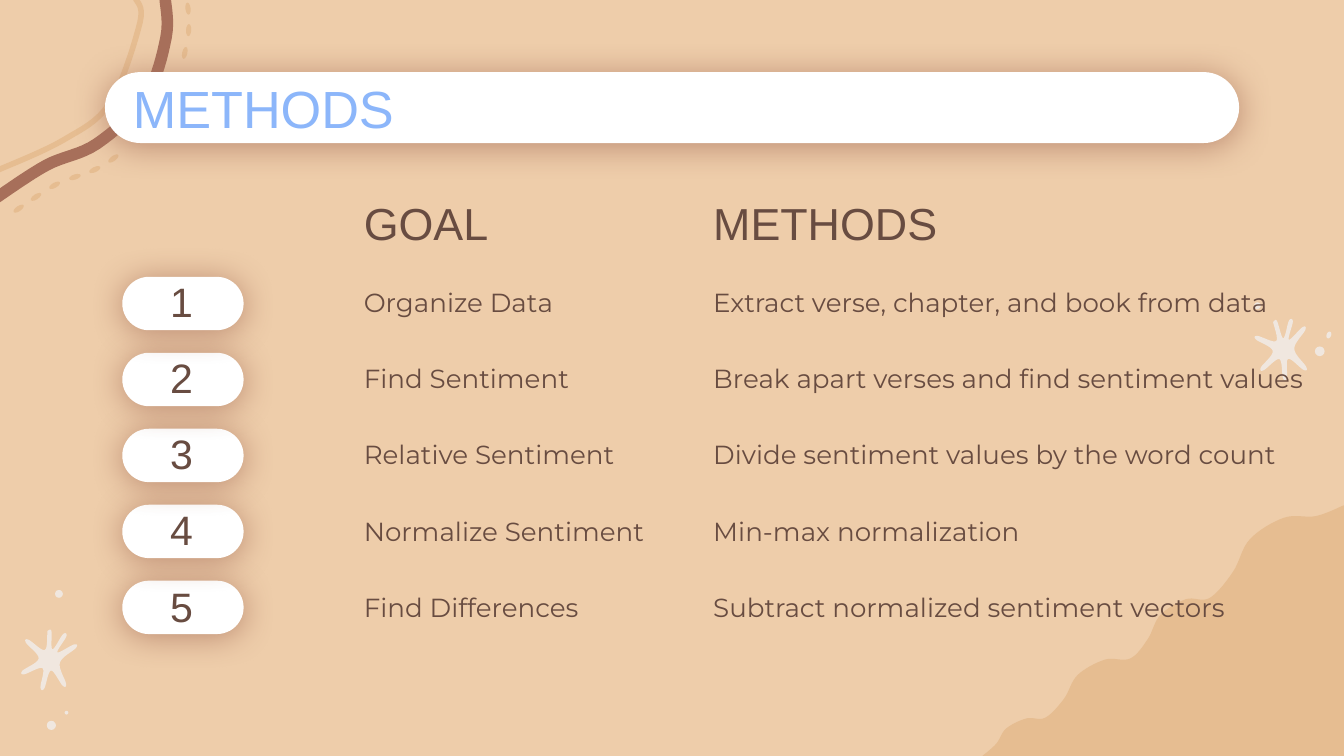
from math import atan2, cos, degrees, dist, hypot, radians, sin
from typing import NamedTuple

from lxml import etree
from pptx import Presentation
from pptx.dml.color import RGBColor
from pptx.enum.shapes import MSO_SHAPE
from pptx.enum.text import MSO_ANCHOR
from pptx.oxml.ns import qn
from pptx.util import Pt

ROUNDED = MSO_SHAPE.ROUNDED_RECTANGLE
OVAL = MSO_SHAPE.OVAL
MIDDLE = MSO_ANCHOR.MIDDLE

PEACH = RGBColor(0xEE, 0xCD, 0xAA)
SAND = RGBColor(0xE6, 0xBD, 0x91)
CLAY = RGBColor(0xA7, 0x6F, 0x5A)
CREAM = RGBColor(0xF0, 0xE7, 0xDF)
WHITE = RGBColor(0xFF, 0xFF, 0xFF)
BLUE = RGBColor(0x8C, 0xB6, 0xFA)
BROWN = RGBColor(0x68, 0x4C, 0x41)

# All lengths are in points
WIDTH, HEIGHT = 720, 405
INSET = 7.2
HEADER_HEIGHT, ROW_HEIGHT = 43.2, 40.7
COLUMN_WIDTHS = (103.7, 187.2, 351.4)
NO_STYLE = "{2D5ABB26-0587-4C30-8999-92F81FD0307C}"

# Dashes run beside the clay ribbon
DASH_OFFSET, DASH_STEP, DASH_LENGTH, DASH_THICKNESS = 11.5, 11.7, 6.5, 2.8

# One star serves both sides; arm angles run clockwise from the top
ARM_ANGLES = (0, 32, 62, 149, 194, 244, 310)
ARM_LENGTH, NOTCH_RADIUS, TIP_HALF_ANGLE = 15.5, 5.8, 4

# The dune climbs from landing to landing; the profile gives (run, rise) shares
LANDINGS = ((526.3, HEIGHT), (560, 384.5), (605.5, 352.8), (648, 320.4), (705, 276.5))
STEP_PROFILE = ((0, 0), (0.22, 0.32), (0.38, 0.72), (0.7, 0.98))
DUNE_END = (WIDTH, 270.7)


class Ribbon(NamedTuple):
    color: RGBColor
    thickness: float
    course: tuple


class Star(NamedTuple):
    x: float
    y: float
    turn: float


class Spot(NamedTuple):
    """Ellipse given by its centre, size and tilt."""
    color: RGBColor
    x: float
    y: float
    length: float
    thickness: float
    tilt: float = 0


class Pill(NamedTuple):
    left: float
    top: float
    width: float
    height: float


class Step(NamedTuple):
    goal: str
    method: str


CLAY_RIBBON = Ribbon(CLAY, 6.2, ((88.5, -1), (89, 20), (78, 52), (52, 77), (25, 88.5), (-2, 106)))
SAND_RIBBON = Ribbon(SAND, 3, ((72.6, -1), (75, 12), (59, 55), (34, 75), (-2, 91.5)))
STARS = (Star(26.5, 353.5, 0), Star(687.6, 187, -17))
DOTS = (
    Spot(CREAM, 27.5, 388.6, 4.9, 4.9),
    Spot(CREAM, 31.6, 318.2, 4.2, 4.2),
    Spot(CREAM, 35.6, 381.8, 2, 2),
    Spot(CREAM, 707, 188.2, 5.2, 5.2),
    Spot(CREAM, 711.9, 179.5, 2.5, 3.8, 20),
    Spot(CREAM, 673.6, 163.8, 3.6, 3.6),
)
TITLE_BAR = Pill(56.2, 38.6, 607.6, 38)
FIRST_NUMBER = Pill(65.5, 148.3, 65, 28.6)
STEPS = (
    Step("Organize Data", "Extract verse, chapter, and book from data"),
    Step("Find Sentiment", "Break apart verses and find sentiment values"),
    Step("Relative Sentiment", "Divide sentiment values by the word count"),
    Step("Normalize Sentiment", "Min-max normalization"),
    Step("Find Differences", "Subtract normalized sentiment vectors"),
)


# Geometry
def smooth(knots: list, parts: int = 8) -> list:
    """Points on a Catmull-Rom curve through the knots."""
    padded = [knots[0], *knots, knots[-1]]
    points = [knots[0]]
    for a, b, c, d in zip(padded, padded[1:], padded[2:], padded[3:]):
        for t in (n / parts for n in range(1, parts + 1)):
            points.append(tuple(
                q + t / 2 * (r - p + t * (2 * p - 5 * q + 4 * r - s + t * (3 * q - p - 3 * r + s)))
                for p, q, r, s in zip(a, b, c, d)))
    return points


def offset(curve: list, distance: float) -> list:
    """The curve moved sideways, to the left of its direction on screen."""
    moved = []
    for before, (x, y), after in zip([curve[0], *curve], curve, [*curve[1:], curve[-1]]):
        dx, dy = after[0] - before[0], after[1] - before[1]
        scale = distance / hypot(dx, dy)
        moved.append((x + dy * scale, y - dx * scale))
    return moved


def polar(star: Star, angle: float, radius: float) -> tuple:
    turned = radians(angle + star.turn)
    return star.x + radius * sin(turned), star.y - radius * cos(turned)


# Decoration
def paint(shape, color: RGBColor) -> None:
    shape.fill.solid()
    shape.fill.fore_color.rgb = color
    shape.line.fill.background()
    shape.shadow.inherit = False


def draw_outline(shapes, points: list, color: RGBColor) -> None:
    start, *rest = [(Pt(x), Pt(y)) for x, y in points]
    builder = shapes.build_freeform(*start, scale=1.0)
    builder.add_line_segments(rest, close=True)
    paint(builder.convert_to_shape(), color)


def draw_ribbon(shapes, ribbon: Ribbon) -> None:
    curve = smooth(ribbon.course)
    half = ribbon.thickness / 2
    draw_outline(shapes, offset(curve, half) + offset(curve, -half)[::-1], ribbon.color)


def draw_spot(shapes, spot: Spot) -> None:
    oval = shapes.add_shape(OVAL, Pt(spot.x - spot.length / 2), Pt(spot.y - spot.thickness / 2),
                            Pt(spot.length), Pt(spot.thickness))
    oval.rotation = spot.tilt
    paint(oval, spot.color)


def draw_dashes(shapes, ribbon: Ribbon) -> None:
    """Dashes at equal steps beside the ribbon, left out behind the title bar."""
    track = offset(smooth(ribbon.course, 40), DASH_OFFSET)
    travelled, next_dash = 0, DASH_STEP / 2
    for here, there in zip(track, track[1:]):
        travelled += dist(here, there)
        if travelled < next_dash:
            continue
        next_dash += DASH_STEP
        x, y = there
        if y < TITLE_BAR.top or x < TITLE_BAR.left + INSET * 1.5:
            tilt = degrees(atan2(y - here[1], x - here[0]))
            draw_spot(shapes, Spot(SAND, x, y, DASH_LENGTH, DASH_THICKNESS, tilt))


def draw_dune(shapes) -> None:
    knots = [(x + run * (next_x - x), y + rise * (next_y - y))
             for (x, y), (next_x, next_y) in zip(LANDINGS, LANDINGS[1:])
             for run, rise in STEP_PROFILE]
    draw_outline(shapes, smooth([*knots, LANDINGS[-1], DUNE_END]) + [(WIDTH, HEIGHT)], SAND)


def draw_star(shapes, star: Star) -> None:
    knots = []
    for angle, following in zip(ARM_ANGLES, (*ARM_ANGLES[1:], 360)):
        knots += [polar(star, angle - TIP_HALF_ANGLE, ARM_LENGTH),
                  polar(star, angle + TIP_HALF_ANGLE, ARM_LENGTH),
                  polar(star, (angle + following) / 2, NOTCH_RADIUS)]
    draw_outline(shapes, smooth([*knots, knots[0]]), CREAM)


def draw_pill(shapes, pill: Pill) -> None:
    shape = shapes.add_shape(ROUNDED, *(Pt(length) for length in pill))
    shape.adjustments[0] = 0.5
    paint(shape, WHITE)
    effects = shape._element.spPr.find(qn("a:effectLst"))
    shadow = etree.SubElement(effects, qn("a:outerShdw"), blurRad=str(Pt(18)),
                              dist=str(Pt(1.5)), dir="5400000", algn="bl", rotWithShape="0")
    tint = etree.SubElement(shadow, qn("a:srgbClr"), val=str(CLAY))
    etree.SubElement(tint, qn("a:alpha"), val="70000")


# Text
def write(holder, frame, text: str, size: float, font: str, color: RGBColor) -> None:
    """Fill a cell or text frame, whose insets and anchor sit on the holder."""
    holder.margin_left = holder.margin_right = Pt(INSET)
    holder.margin_top = holder.margin_bottom = Pt(INSET)
    holder.vertical_anchor = MIDDLE
    paragraph = frame.paragraphs[0]
    paragraph.text = text
    paragraph.font.size, paragraph.font.name = Pt(size), font
    paragraph.font.color.rgb = color


def draw_table(shapes, left: float, top: float) -> None:
    rows = [("", "GOAL", "METHODS")]
    rows += [(str(number), *step) for number, step in enumerate(STEPS, 1)]
    heights = [HEADER_HEIGHT] + [ROW_HEIGHT] * len(STEPS)
    table = shapes.add_table(len(rows), len(COLUMN_WIDTHS), Pt(left), Pt(top),
                             Pt(sum(COLUMN_WIDTHS)), Pt(sum(heights))).table
    table.first_row = table.horz_banding = False
    table._tbl.tblPr.find(qn("a:tableStyleId")).text = NO_STYLE
    for column, width in zip(table.columns, COLUMN_WIDTHS):
        column.width = Pt(width)
    for r, (texts, height) in enumerate(zip(rows, heights)):
        table.rows[r].height = Pt(height)
        for c, text in enumerate(texts):
            cell = table.cell(r, c)
            cell.fill.background()
            size, font = (24, "Arial") if r == 0 else (22, "Arial") if c == 0 else (14, "Montserrat")
            write(cell, cell.text_frame, text, size, font, BROWN)


def main() -> None:
    deck = Presentation()
    deck.slide_width, deck.slide_height = Pt(WIDTH), Pt(HEIGHT)
    slide = deck.slides.add_slide(deck.slide_layouts[6])
    slide.background.fill.solid()
    slide.background.fill.fore_color.rgb = PEACH
    shapes = slide.shapes

    # Decoration
    draw_ribbon(shapes, CLAY_RIBBON)
    draw_ribbon(shapes, SAND_RIBBON)
    draw_dashes(shapes, CLAY_RIBBON)
    draw_dune(shapes)
    for star in STARS:
        draw_star(shapes, star)
    for dot in DOTS:
        draw_spot(shapes, dot)

    # Number pills, from the bottom up, and the title bar
    for row in reversed(range(len(STEPS))):
        draw_pill(shapes, FIRST_NUMBER._replace(top=FIRST_NUMBER.top + row * ROW_HEIGHT))
    draw_pill(shapes, TITLE_BAR)

    # Title and table
    title = shapes.add_textbox(Pt(64.1), Pt(44.8), Pt(572.4), Pt(25.2)).text_frame
    title.word_wrap = True
    write(title, title, "METHODS", 28, "Arial", BLUE)
    draw_table(shapes, 84, 98.8)

    deck.save("out.pptx")


if __name__ == "__main__":
    main()
